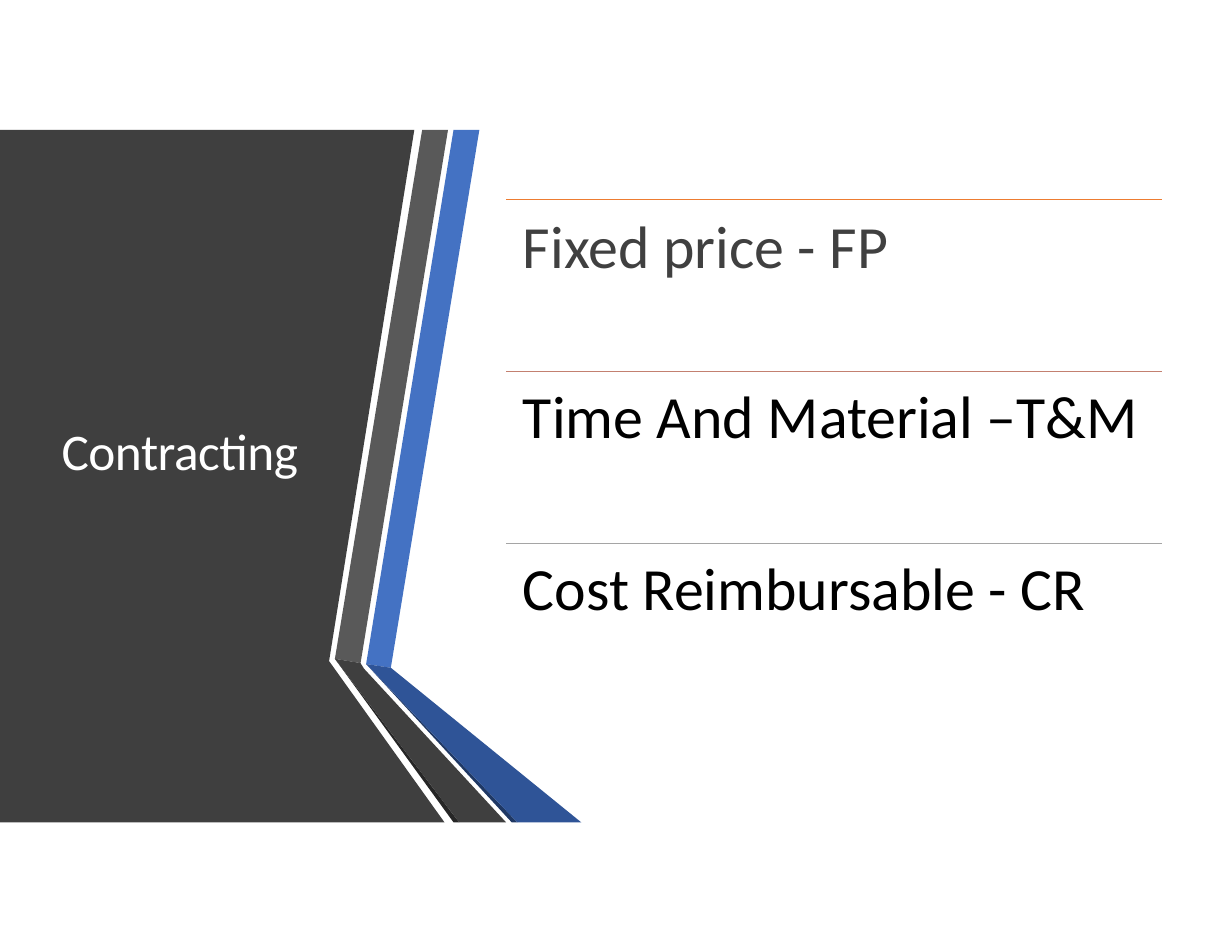
from lxml import etree
from pptx import Presentation
from pptx.dml.color import RGBColor
from pptx.enum import shapes, text
from pptx.oxml.ns import qn
from pptx.util import Pt

FONT = "Calibri"
WHITE = RGBColor(0xFF, 0xFF, 0xFF)
BLACK = RGBColor(0, 0, 0)
CHARCOAL = RGBColor(0x3F, 0x3F, 0x3F)
TITLE_GREY = RGBColor(0x40, 0x40, 0x40)
GREY = RGBColor(0x59, 0x59, 0x59)
GREY_EDGE = RGBColor(0x26, 0x26, 0x26)
BLUE = RGBColor(0x44, 0x72, 0xC3)
BLUE_FOLD = RGBColor(0x2F, 0x54, 0x97)
BLUE_EDGE = RGBColor(0x1F, 0x38, 0x64)
ORANGE = RGBColor(0xED, 0x7C, 0x31)
ROSE = RGBColor(0xC3, 0x80, 0x70)
SILVER = RGBColor(0xA5, 0xA5, 0xA5)

# Outlines of the folded ribbons, in points from the panel's top left corner
RIBBONS = [
    (CHARCOAL, [(0, 0), (266.4, 0), (211.6, 341.5), (285.8, 445.2), (0, 445.2)]),
    (BLUE, [(291.6, 0), (308.2, 0), (251.3, 345.8), (235.4, 343.4)]),
    (GREY, [(271.4, 0), (288, 0), (231.8, 342.8), (215.3, 340)]),
    (GREY_EDGE, [(215.3, 340), (295.2, 445.2), (291.6, 445.2)]),
    (BLUE_EDGE, [(235.4, 343.4), (332.6, 445.2), (329, 445.2)]),
    (BLUE_FOLD, [(235.4, 343.4), (251.3, 345.8), (373.7, 445.2), (332.6, 445.2)]),
    (CHARCOAL, [(215.3, 340), (231.8, 342.8), (234, 346.3), (325.4, 445.2),
                (295.2, 445.2)]),
]

ITEMS = [
    ("Fixed price - FP", ORANGE, TITLE_GREY, 239),
    ("Time And Material –T&M", ROSE, BLACK, 400.3),
    ("Cost Reimbursable - CR", SILVER, BLACK, 365.8),
]


def put_text(sp, box, words, size, color, anchor, spacing=0):
    """Place a text shape and format its single line."""
    sp.left, sp.top, sp.width, sp.height = (Pt(v) for v in box)
    tf = sp.text_frame
    tf.text = words
    tf.word_wrap = True
    tf.auto_size = text.MSO_AUTO_SIZE.NONE
    tf.vertical_anchor = anchor
    tf.margin_left = tf.margin_right = tf.margin_bottom = 0
    tf.margin_top = Pt(1.2)
    p = tf.paragraphs[0]
    p.alignment = text.PP_ALIGN.LEFT
    r = p.runs[0]
    r.font.name, r.font.size = FONT, Pt(size)
    r.font.color.rgb = color
    if spacing:
        r.font._element.set("spc", str(spacing))


def add_panel(slide, left, top):
    """Folded ribbons with the section name on the dark area."""
    for color, points in RIBBONS:
        corners = [(Pt(left + x), Pt(top + y)) for x, y in points]
        builder = slide.shapes.build_freeform(*corners[0])
        builder.add_line_segments(corners[1:], close=True)
        sp = builder.convert_to_shape()
        sp.shadow.inherit = False
        sp.fill.solid()
        sp.fill.fore_color.rgb = color
        sp.line.fill.background()

    label = slide.shapes.add_textbox(0, 0, 0, 0)
    put_text(label, (left + 39.6, top + 185, 155.5, 41.8), "Contracting",
             33, WHITE, text.MSO_ANCHOR.TOP, -30)


def add_items(slide, left, top, width, pitch):
    """Ruled list of contract types; the first one is the slide title."""
    for i, (words, rule_color, color, text_width) in enumerate(ITEMS):
        y = top + i * pitch
        # Rule above the item
        rule = slide.shapes.add_connector(
            shapes.MSO_CONNECTOR.STRAIGHT,
            Pt(left), Pt(y), Pt(left + width), Pt(y))
        rule.line.color.rgb = rule_color
        rule.line.width = Pt(0.84)
        etree.SubElement(rule._element.spPr, qn("a:effectLst"))

        # Item text
        if i == 0:
            sp, anchor = slide.shapes.title, text.MSO_ANCHOR.BOTTOM
        else:
            sp = slide.shapes.add_textbox(0, 0, 0, 0)
            anchor = text.MSO_ANCHOR.TOP
        put_text(sp, (left + 10.8, y + 3.8, text_width, 48.2), words,
                 38.5, color, anchor)


def main():
    prs = Presentation()
    prs.slide_width, prs.slide_height = Pt(792), Pt(612)
    slide = prs.slides.add_slide(prs.slide_layouts[5])
    add_panel(slide, 0, 83.5)
    add_items(slide, 325.4, 128.2, 421.9, 110.5)
    prs.save("out.pptx")


if __name__ == "__main__":
    main()
